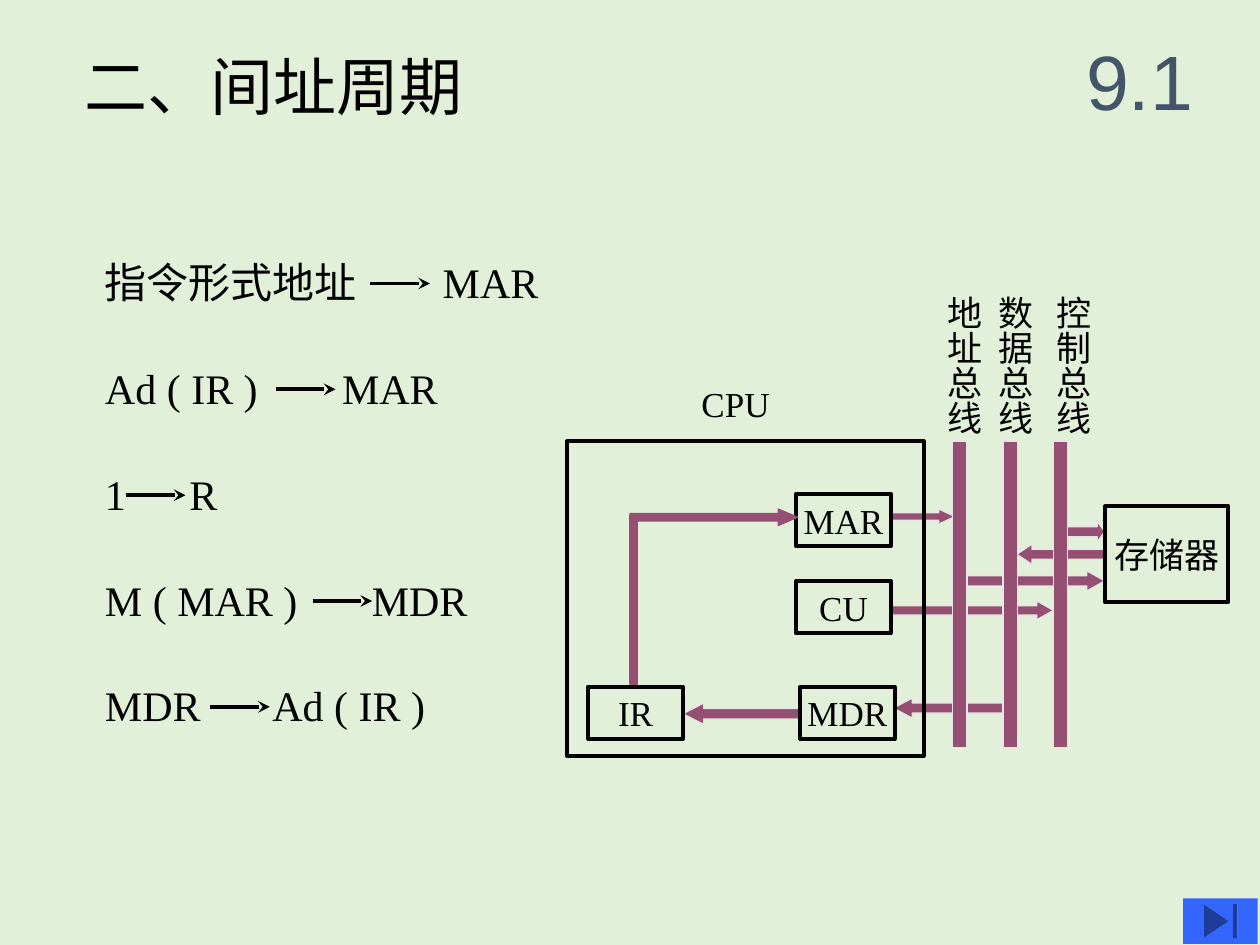
"""Build the indirect-addressing cycle slide with its CPU and bus diagram."""
from dataclasses import dataclass
from typing import Optional

from lxml.etree import SubElement
from pptx import Presentation
from pptx.dml.color import RGBColor
from pptx.enum.shapes import MSO_CONNECTOR, MSO_SHAPE
from pptx.enum.text import MSO_ANCHOR, MSO_AUTO_SIZE, PP_ALIGN
from pptx.oxml.ns import qn
from pptx.util import Pt


@dataclass(frozen=True)
class Theme:
    back: RGBColor = RGBColor(0xE2, 0xF0, 0xD9)
    ink: RGBColor = RGBColor(0, 0, 0)
    bus: RGBColor = RGBColor(0x95, 0x4F, 0x72)
    edge: RGBColor = RGBColor(0xE7, 0xE6, 0xE6)
    section: RGBColor = RGBColor(0x44, 0x54, 0x6A)
    button: RGBColor = RGBColor(0x33, 0x66, 0xFF)
    serif: str = "Times New Roman"
    sans: str = "Arial"
    title: int = 36
    number: int = 44
    step: int = 24
    label: int = 20
    thick: float = 2.25
    thin: float = 0.75


@dataclass(frozen=True)
class Box:
    x: float
    y: float
    w: float
    h: float

    def lengths(self):
        return Pt(self.x), Pt(self.y), Pt(self.w), Pt(self.h)


@dataclass(frozen=True)
class Step:
    source: str
    target: str
    arrow_x: float
    tab: float


@dataclass(frozen=True)
class Block:
    text: str
    box: Box


@dataclass(frozen=True)
class Flow:
    kind: MSO_SHAPE
    box: Box
    shaft: float
    head: float


T = Theme()
RIGHT, LEFT = MSO_SHAPE.RIGHT_ARROW, MSO_SHAPE.LEFT_ARROW

STEPS = [
    Step("指令形式地址", "MAR", 211.7, 193),
    Step("Ad ( IR )", "MAR", 157.7, 135.5),
    Step("1", "R", 72, 48.3),
    Step("M ( MAR )", "MDR", 178.6, 152.5),
    Step("MDR", "Ad ( IR )", 120.2, 95.6),
]
STEP_TOP, STEP_GAP, STEP_ARROW = 144, 60.48, 34

FLOWS = [
    Flow(LEFT, Box(510.5, 398.9, 62.6, 11.5), 0.5, 0.944),
    Flow(LEFT, Box(390.2, 401.8, 66.2, 12.2), 0.5, 0.978),
    Flow(RIGHT, Box(509.8, 343.4, 92.2, 10.8), 0.492, 0.892),
    Flow(RIGHT, Box(509.8, 290.9, 36, 8.6), 0.494, 1.083),
    Flow(LEFT, Box(581, 311, 49.7, 11.5), 0.5, 0.755),
    Flow(RIGHT, Box(552.2, 326.2, 79.2, 11.5), 0.5, 0.898),
    Flow(RIGHT, Box(606.2, 298.1, 25.2, 11.5), 0.5, 0.378),
]
IR_TO_MAR = Flow(RIGHT, Box(360, 290.9, 95.8, 9.4), 0.458, 1.179)
IR_RISER = Box(360, 294.5, 4.3, 96.5)

BLOCKS = [
    Block("", Box(324, 252, 203.8, 180)),
    Block("MAR", Box(455, 282.2, 54, 30)),
    Block("CU", Box(455, 331.9, 54, 30)),
    Block("MDR", Box(457.2, 392.4, 54, 30)),
    Block("IR", Box(336.2, 392.4, 54, 30)),
    Block("存储器", Box(631.4, 289.4, 70.6, 54.7)),
]
BUS_X, BUS_PITCH = 544.3, 28.8
BUSES = [("地址总线", 527.8), ("数据总线", 557.3), ("控制总线", 590.4)]


def write(tf, text: str, size: int, font: str = T.serif,
          color: RGBColor = T.ink, align: PP_ALIGN = PP_ALIGN.LEFT,
          tab: Optional[float] = None, inset: Optional[float] = None) -> None:
    """Fill a text frame with one formatted paragraph."""
    tf.auto_size = MSO_AUTO_SIZE.NONE
    tf.vertical_anchor = MSO_ANCHOR.MIDDLE
    if inset is not None:
        tf.margin_left = tf.margin_right = tf.margin_top = tf.margin_bottom = Pt(inset)
    p = tf.paragraphs[0]
    p.text = text
    p.alignment = align
    if tab is not None:
        tabs = SubElement(p._p.get_or_add_pPr(), qn("a:tabLst"))
        SubElement(tabs, qn("a:tab"), pos=str(Pt(tab)), algn="l")
    for r in p.runs:
        r.font.size, r.font.name = Pt(size), font
        r.font.color.rgb = color


def add_text(s, box: Box, text: str, size: int, wrap: bool = True, **style):
    """Add a text box and return its text frame."""
    tf = s.shapes.add_textbox(*box.lengths()).text_frame
    write(tf, text, size, **style)
    tf.word_wrap = wrap
    return tf


def add_solid(s, kind: MSO_SHAPE, box: Box, fill: RGBColor, edge: Optional[RGBColor]):
    """Add a filled shape with an optional thin edge."""
    sp = s.shapes.add_shape(kind, *box.lengths())
    sp.shadow.inherit = False
    sp.fill.solid()
    sp.fill.fore_color.rgb = fill
    if edge is None:
        sp.line.fill.background()
    else:
        sp.line.color.rgb, sp.line.width = edge, Pt(T.thin)
    return sp


def add_flow(s, flow: Flow, edge: RGBColor) -> None:
    """Add a block arrow for a data path."""
    sp = add_solid(s, flow.kind, flow.box, T.bus, edge)
    sp.adjustments[0], sp.adjustments[1] = flow.shaft, flow.head


def add_block(s, block: Block) -> None:
    """Add an outlined unit with its centred name."""
    sp = s.shapes.add_shape(MSO_SHAPE.RECTANGLE, *block.box.lengths())
    sp.shadow.inherit = False
    sp.fill.background()
    sp.line.color.rgb, sp.line.width = T.ink, Pt(T.thick)
    if block.text:
        write(sp.text_frame, block.text, T.label, align=PP_ALIGN.CENTER)
        sp.text_frame.word_wrap = False


def add_step(s, step: Step, top: float) -> None:
    """Add one micro-operation with its transfer arrow."""
    add_text(s, Box(60, top, 340, 34), f"{step.source}\t{step.target}", T.step,
             tab=step.tab, inset=0)
    y = Pt(top + 18)
    cn = s.shapes.add_connector(MSO_CONNECTOR.STRAIGHT, Pt(step.arrow_x), y,
                                Pt(step.arrow_x + STEP_ARROW), y)
    cn.line.color.rgb, cn.line.width = T.ink, Pt(T.thick)
    SubElement(cn.line._get_or_add_ln(), qn("a:tailEnd"), type="stealth")
    SubElement(cn._element.spPr, qn("a:effectLst"))


def main() -> None:
    """Assemble and save the slide."""
    prs = Presentation()
    prs.slide_width, prs.slide_height = Pt(720), Pt(540)
    s = prs.slides.add_slide(prs.slide_layouts[5])
    s.background.fill.solid()
    s.background.fill.fore_color.rgb = T.back

    title = s.shapes.title
    title.left, title.top, title.width, title.height = Box(48.2, 31.7, 255, 34).lengths()
    write(title.text_frame, "二、间址周期", T.title, inset=0)
    title.text_frame.word_wrap = False
    add_text(s, Box(606.2, 12.2, 90, 66.2), "9.1", T.number, font=T.sans,
             color=T.section, align=PP_ALIGN.CENTER)

    for i, step in enumerate(STEPS):
        add_step(s, step, STEP_TOP + i * STEP_GAP)
    for flow in FLOWS:
        add_flow(s, flow, T.edge)
    for block in BLOCKS:
        add_block(s, block)
    add_text(s, Box(393.8, 215.3, 55.4, 31), "CPU", T.label, wrap=False)
    for i, (name, x) in enumerate(BUSES):
        add_solid(s, MSO_SHAPE.RECTANGLE, Box(BUS_X + i * BUS_PITCH, 252, 8.3, 175),
                  T.bus, T.edge)
        tf = add_text(s, Box(x, 162, 38.2, 87.8), name, T.label, wrap=False)
        tf.vertical_anchor = MSO_ANCHOR.TOP
        tf._txBody.bodyPr.set("vert", "eaVert")
    add_solid(s, MSO_SHAPE.RECTANGLE, IR_RISER, T.bus, T.bus)
    add_flow(s, IR_TO_MAR, T.bus)
    add_solid(s, MSO_SHAPE.ACTION_BUTTON_END, Box(676.1, 513.4, 42.5, 25.9), T.button, None)
    prs.save("out.pptx")


if __name__ == "__main__":
    main()
